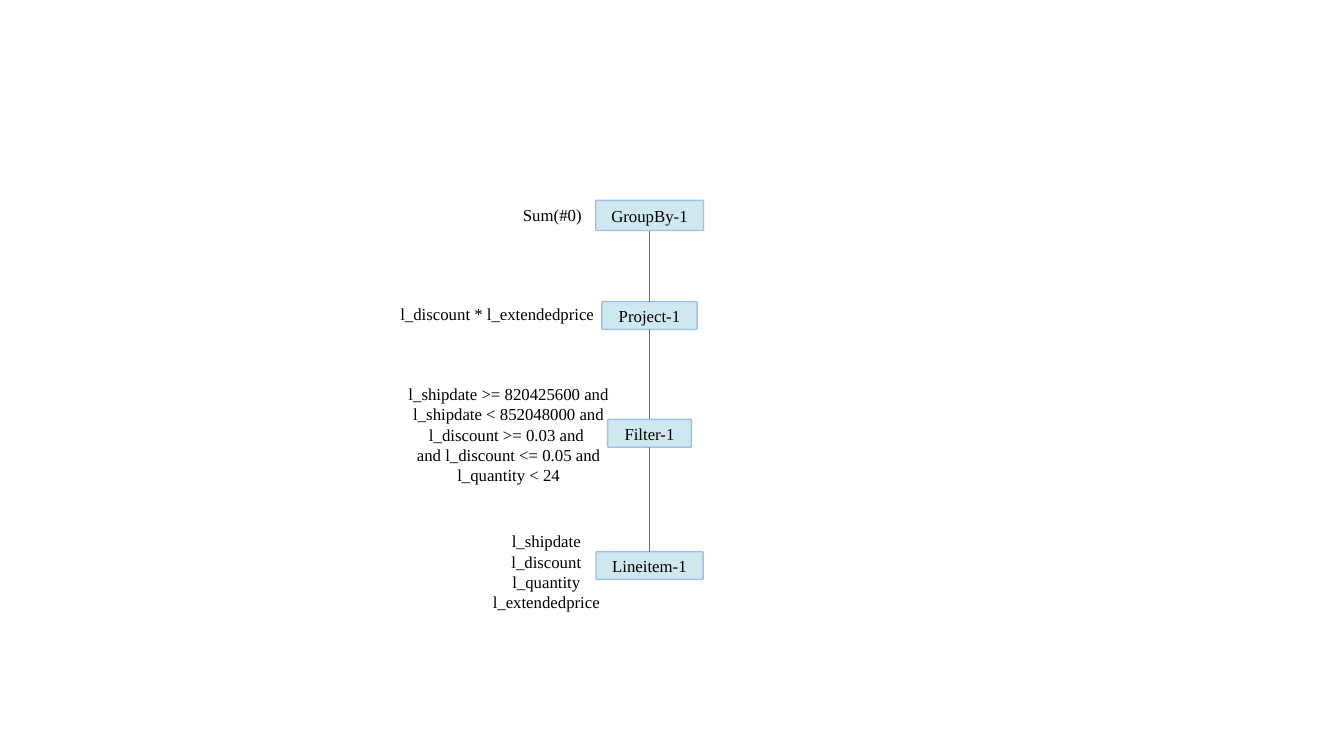
import pptx
import pptx.util
import pptx.dml.color
import pptx.enum.shapes
import pptx.enum.text
import pptx.oxml
import pptx.oxml.ns
from dataclasses import dataclass

Cm = pptx.util.Cm
Pt = pptx.util.Pt
Shape = pptx.enum.shapes.MSO_SHAPE
Link = pptx.enum.shapes.MSO_CONNECTOR
Align = pptx.enum.text.PP_ALIGN
Anchor = pptx.enum.text.MSO_ANCHOR
Fit = pptx.enum.text.MSO_AUTO_SIZE


@dataclass(frozen=True)
class Theme:
    fill: str = "CFE8EF"
    edge: str = "9DC3E6"
    wire: str = "4472C4"
    ink: str = "000000"
    font: str = "Times New Roman"
    size: float = 12
    edge_width: float = 1
    wire_width: float = 0.5
    corner: float = 0.036


def color(code):
    return pptx.dml.color.RGBColor.from_string(code)


def format(item, values):
    for name, value in values.items():
        setattr(item, name, value)


class Plan:
    """Draws the parts of a query plan on one slide."""

    def __init__(self, slide, theme):
        self.shapes = slide.shapes
        self.theme = theme

    def label(self, frame, lines, values):
        format(frame, values)
        for i, line in enumerate(lines):
            para = frame.paragraphs[0] if i == 0 else frame.add_paragraph()
            para.alignment = Align.CENTER
            run = para.add_run()
            run.text = line
            format(run.font, {"name": self.theme.font, "size": Pt(self.theme.size)})
            run.font.color.rgb = color(self.theme.ink)

    def stroke(self, line, code, width):
        line.color.rgb = color(code)
        line.width = Pt(width)

    def node(self, name, mid, top, width, height):
        box = self.shapes.add_shape(Shape.ROUNDED_RECTANGLE, Cm(mid - width / 2),
                                    Cm(top), Cm(width), Cm(height))
        box.adjustments[0] = self.theme.corner
        box.shadow.inherit = False
        box.fill.solid()
        box.fill.fore_color.rgb = color(self.theme.fill)
        self.stroke(box.line, self.theme.edge, self.theme.edge_width)
        self.label(box.text_frame, [name],
                   {"word_wrap": True, "vertical_anchor": Anchor.MIDDLE})
        return box

    def note(self, lines, left, top, width, height):
        box = self.shapes.add_textbox(Cm(left), Cm(top), Cm(width), Cm(height))
        self.label(box.text_frame, lines,
                   {"word_wrap": True, "auto_size": Fit.SHAPE_TO_FIT_TEXT})

    def wire(self, upper, lower):
        link = self.shapes.add_connector(Link.STRAIGHT, 0, 0, 0, 0)
        link.begin_connect(upper, 2)  # bottom site
        link.end_connect(lower, 0)  # top site
        self.stroke(link.line, self.theme.wire, self.theme.wire_width)
        link.element.spPr.append(pptx.oxml.parse_xml(
            f"<a:effectLst {pptx.oxml.ns.nsdecls('a')}/>"))


MID = 16.37

# Name, (top, width, height), note lines, note (left, top, width, height)
STEPS = [
    ("GroupBy-1", (5.05, 2.72, 0.76),
     ["Sum(#0)"], (12.83, 5.03, 2.18, 0.76)),
    ("Project-1", (7.6, 2.4, 0.7),
     ["l_discount * l_extendedprice"], (9.78, 7.54, 5.51, 0.76)),
    ("Filter-1", (10.57, 2.11, 0.7),
     ["l_shipdate >= 820425600 and", "l_shipdate < 852048000 and",
      "l_discount >= 0.03 and ", "and l_discount <= 0.05 and",
      "l_quantity < 24"], (9.86, 9.55, 5.92, 2.82)),
    ("Lineitem-1", (13.9, 2.7, 0.7),
     ["l_shipdate", "l_discount", "l_quantity", "l_extendedprice"],
     (12.07, 13.26, 3.4, 2.31)),
]


def main():
    deck = pptx.Presentation()
    format(deck, {"slide_width": Cm(33.87), "slide_height": Cm(19.05)})
    plan = Plan(deck.slides.add_slide(deck.slide_layouts[6]), Theme())

    # Operators with their notes
    nodes = []
    for name, place, lines, spot in STEPS:
        nodes.append(plan.node(name, MID, *place))
        plan.note(lines, *spot)

    # Links from each operator to the one below
    for upper, lower in zip(nodes, nodes[1:]):
        plan.wire(upper, lower)

    deck.save("out.pptx")


if __name__ == "__main__":
    main()
